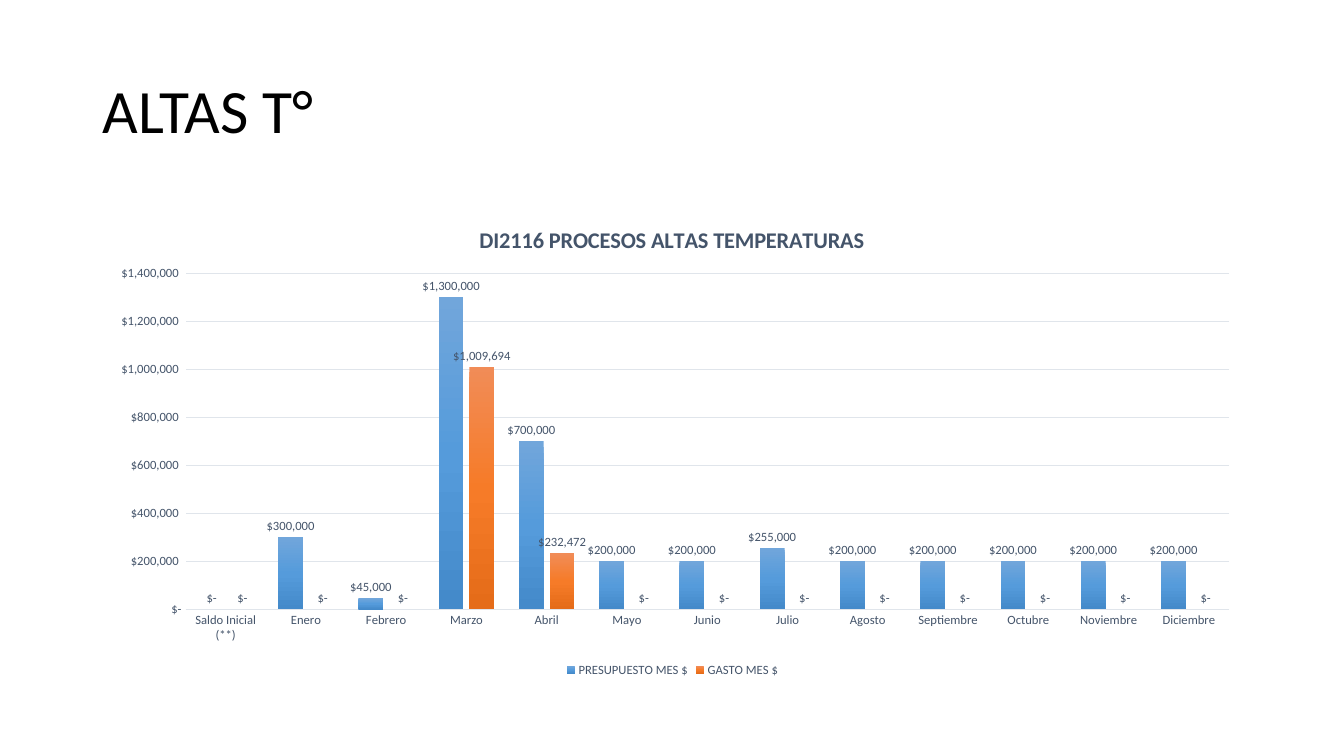
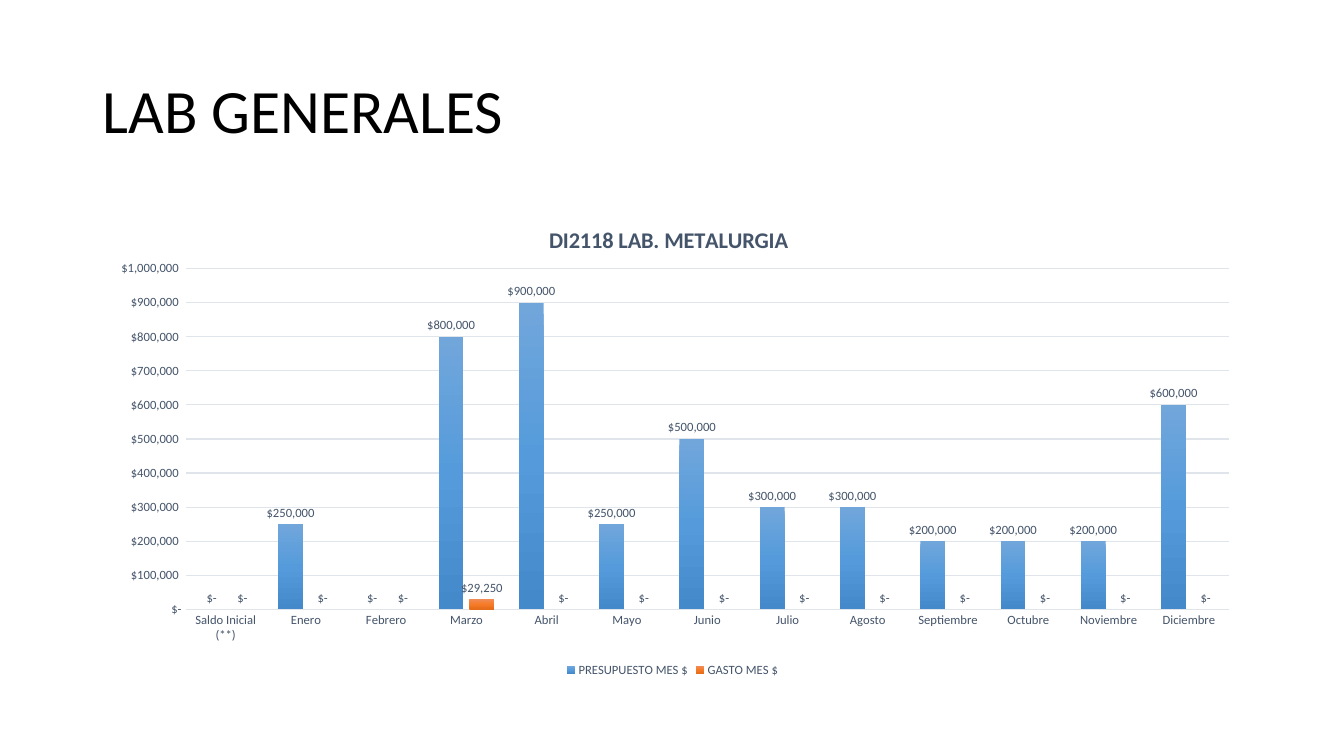
from copy import deepcopy
from dataclasses import dataclass
from typing import Any

from lxml.etree import SubElement
from pptx import Presentation
from pptx.chart.data import CategoryChartData
from pptx.dml.color import RGBColor
from pptx.enum.chart import XL_CHART_TYPE as ChartType
from pptx.enum.chart import XL_LABEL_POSITION as LabelPosition
from pptx.enum.chart import XL_LEGEND_POSITION as LegendPosition
from pptx.enum.chart import XL_TICK_MARK as TickMark
from pptx.enum.text import MSO_ANCHOR as Anchor
from pptx.oxml.ns import qn
from pptx.util import Inches, Pt

# Shared style
COLORS = {"title": "000000", "chart_text": "44546A", "rule": "E0E5EB"}
FONT = "Calibri"
MONEY = r'_-"$"* #,##0_-;\-"$"* #,##0_-;_-"$"* "-"'
LEFT, WIDTH = Inches(0.92), Inches(11.5)

MONTHS = ["Saldo Inicial (**)", "Enero", "Febrero", "Marzo", "Abril", "Mayo", "Junio",
          "Julio", "Agosto", "Septiembre", "Octubre", "Noviembre", "Diciembre"]
# Series name and its gradient, from top to bottom
SERIES = {
    "PRESUPUESTO MES $": ("71A6DB", "559BDB", "448ACA"),
    "GASTO MES $": ("F18C57", "F67B28", "E56C19"),
}


@dataclass(frozen=True)
class BudgetSlide:
    title: str
    chart_title: str
    chart_title_x: float
    plot_top: float
    axis_maximum: int
    axis_unit: int
    budget: list[int]
    spent: list[int]


BUDGET_SLIDES = [
    BudgetSlide(
        "ALTAS T°", "DI2116 PROCESOS ALTAS TEMPERATURAS", 0.33, 0.15, 1400000, 200000,
        [0, 300000, 45000, 1300000, 700000, 200000, 200000, 255000] + [200000] * 5,
        [0, 0, 0, 1009694, 232472] + [0] * 8,
    ),
    BudgetSlide(
        "LAB GENERALES", "DI2118 LAB. METALURGIA", 0.39, 0.14, 1000000, 100000,
        [0, 250000, 0, 800000, 900000, 250000, 500000, 300000, 300000]
        + [200000] * 3 + [600000],
        [0, 0, 0, 29250] + [0] * 9,
    ),
]


def set_attributes(target: Any, values: dict[str, Any]) -> None:
    for name, value in values.items():
        setattr(target, name, value)


def style_font(font: Any, size: float, color: str, bold: bool = False) -> None:
    set_attributes(font, {"name": FONT, "size": Pt(size), "bold": bold})
    font.color.rgb = RGBColor.from_string(COLORS[color])


def style_rule(line: Any) -> None:
    line.width = Pt(0.75)
    line.color.rgb = RGBColor.from_string(COLORS["rule"])


def set_layout(parent: Any, index: int, values: dict[str, Any]) -> None:
    """Place a chart part by fractions of the chart area."""
    for old_layout in parent.findall(qn("c:layout")):
        parent.remove(old_layout)
    layout = SubElement(parent, qn("c:layout"))
    parent.insert(index, layout)
    manual = SubElement(layout, qn("c:manualLayout"))
    for name, value in values.items():
        SubElement(manual, qn(f"c:{name}")).set("val", str(value))


def style_series(series: Any, gradient: tuple[str, ...]) -> None:
    fill = series.format.fill
    fill.gradient()
    fill.gradient_angle = 270
    stop_list = series._element.find(".//" + qn("a:gsLst"))
    stop_list.append(deepcopy(stop_list[-1]))
    for number, (stop, color) in enumerate(zip(fill.gradient_stops, gradient)):
        stop.position = number / (len(gradient) - 1)
        stop.color.rgb = RGBColor.from_string(color)
    series.invert_if_negative = False
    labels = series.data_labels
    set_attributes(labels, {
        "show_value": True, "position": LabelPosition.OUTSIDE_END,
        "number_format": MONEY, "number_format_is_linked": False,
    })
    style_font(labels.font, 9, "chart_text")


def style_axes(chart: Any, content: BudgetSlide) -> None:
    for axis in (chart.category_axis, chart.value_axis):
        set_attributes(axis, {"major_tick_mark": TickMark.NONE,
                              "minor_tick_mark": TickMark.NONE})
        style_font(axis.tick_labels.font, 9, "chart_text")
    style_rule(chart.category_axis.format.line)

    value_axis = chart.value_axis
    set_attributes(value_axis, {
        "minimum_scale": 0, "maximum_scale": content.axis_maximum,
        "major_unit": content.axis_unit, "has_major_gridlines": True,
    })
    value_axis.format.line.fill.background()
    style_rule(value_axis.major_gridlines.format.line)
    set_attributes(value_axis.tick_labels,
                   {"number_format": MONEY, "number_format_is_linked": False})


def add_title(slide: Any, text: str) -> None:
    frame = slide.shapes.add_textbox(LEFT, Inches(0.4), WIDTH, Inches(1.45)).text_frame
    set_attributes(frame, {"word_wrap": True, "vertical_anchor": Anchor.MIDDLE})
    paragraph = frame.paragraphs[0]
    set_attributes(paragraph, {"text": text, "line_spacing": 0.9})
    style_font(paragraph.font, 44, "title")


def add_budget_chart(slide: Any, content: BudgetSlide) -> None:
    data = CategoryChartData(number_format=MONEY)
    data.categories = MONTHS
    for name, values in zip(SERIES, (content.budget, content.spent)):
        data.add_series(name, values)
    chart = slide.shapes.add_chart(ChartType.COLUMN_CLUSTERED, LEFT, Inches(2), WIDTH,
                                   Inches(4.76), data).chart
    style_font(chart.font, 10, "title")

    # Columns and axes
    plot = chart.plots[0]
    set_attributes(plot, {"gap_width": 100, "overlap": -24, "vary_by_categories": False})
    for series, gradient in zip(plot.series, SERIES.values()):
        style_series(series, gradient)
    style_axes(chart, content)
    plot_area = chart._chartSpace.find(".//" + qn("c:plotArea"))
    set_layout(plot_area, 0, {
        "layoutTarget": "inner", "xMode": "edge", "yMode": "edge",
        "x": 0.08, "y": content.plot_top, "w": 0.9, "h": round(0.85 - content.plot_top, 2),
    })

    # Chart title
    paragraph = chart.chart_title.text_frame.paragraphs[0]
    paragraph.text = content.chart_title
    style_font(paragraph.runs[0].font, 16, "chart_text", bold=True)
    set_layout(chart.chart_title._element, 1, {
        "xMode": "edge", "yMode": "edge", "x": content.chart_title_x, "y": 0.04,
    })

    # Legend
    chart.has_legend = True
    set_attributes(chart.legend,
                   {"position": LegendPosition.BOTTOM, "include_in_layout": False})
    style_font(chart.legend.font, 9, "chart_text")


def main() -> None:
    presentation = Presentation()
    set_attributes(presentation, {"slide_width": Inches(13.33), "slide_height": Inches(7.5)})
    for content in BUDGET_SLIDES:
        slide = presentation.slides.add_slide(presentation.slide_layouts[6])
        add_title(slide, content.title)
        add_budget_chart(slide, content)
    presentation.save("out.pptx")


if __name__ == "__main__":
    main()
